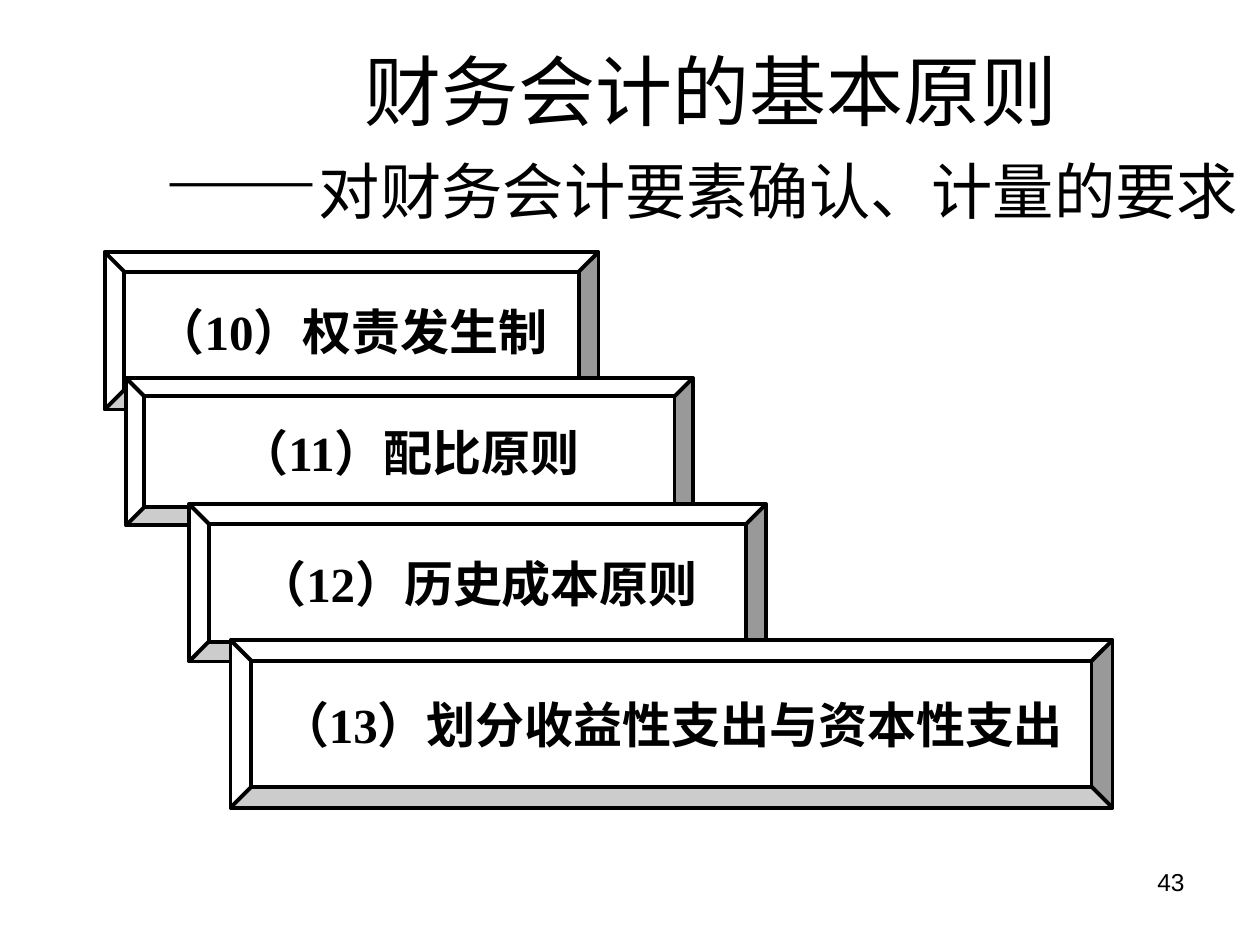
from pptx import Presentation
from pptx.dml.color import RGBColor
from pptx.enum import shapes, text
from pptx.util import Inches, Pt

BLACK = RGBColor(0, 0, 0)
WHITE = RGBColor(255, 255, 255)
SANS = "Arial"
SERIF = "Times New Roman"


class SlideBuilder:
    def __init__(self, slide):
        self.slide = slide

    def style(self, span, size, name, bold=False):
        span.font.size = Pt(size)
        span.font.name = name
        span.font.bold = bold
        span.font.color.rgb = BLACK

    def text_box(self, left, top, width, height, lines, align,
                 anchor=text.MSO_ANCHOR.TOP):
        box = self.slide.shapes.add_textbox(
            Inches(left), Inches(top), Inches(width), Inches(height))
        frame = box.text_frame
        frame.word_wrap = True
        frame.vertical_anchor = anchor
        para = frame.paragraphs[0]
        para.alignment = align
        for index, line in enumerate(lines):
            if index:
                para.add_line_break()
            for wording, size, bold in line:
                span = para.add_run()
                span.text = wording
                self.style(span, size, SANS, bold)

    def bevel(self, left, top, width, height, wording):
        shape = self.slide.shapes.add_shape(
            shapes.MSO_SHAPE.BEVEL,
            Inches(left), Inches(top), Inches(width), Inches(height))
        shape.adjustments[0] = 0.125
        shape.shadow.inherit = False
        shape.fill.solid()
        shape.fill.fore_color.rgb = WHITE
        shape.line.color.rgb = BLACK
        shape.line.width = Pt(2.25)
        frame = shape.text_frame
        frame.text = wording
        frame.word_wrap = False
        frame.vertical_anchor = text.MSO_ANCHOR.MIDDLE
        para = frame.paragraphs[0]
        para.alignment = text.PP_ALIGN.CENTER
        self.style(para.runs[0], 28, SERIF, True)


def main():
    deck = Presentation()
    deck.slide_width = Inches(10)
    deck.slide_height = Inches(7.5)
    page = SlideBuilder(deck.slides.add_slide(deck.slide_layouts[6]))

    page.text_box(7.17, 6.83, 2.33, 0.52, [[("43", 14, False)]],
                  text.PP_ALIGN.RIGHT)

    principles = [
        (0.83, 2, 3.92, 1.25, "权责发生制"),
        (1, 3, 4.5, 1.17, "配比原则"),
        (1.5, 4, 4.58, 1.25, "历史成本原则"),
        (1.83, 5.08, 7, 1.33, "划分收益性支出与资本性支出"),
    ]
    for number, (left, top, width, height, name) in enumerate(principles, 10):
        page.bevel(left, top, width, height, f"（{number}）{name}")

    title = [
        [(" ", 47, True), ("财务会计的基本原则", 44, False)],
        [("——", 44, False), ("对财务会计要素确认、计量的要求", 35, False)],
    ]
    page.text_box(0.92, 0.25, 9.3, 1.63, title, text.PP_ALIGN.CENTER,
                  text.MSO_ANCHOR.MIDDLE)

    deck.save("out.pptx")


if __name__ == "__main__":
    main()
